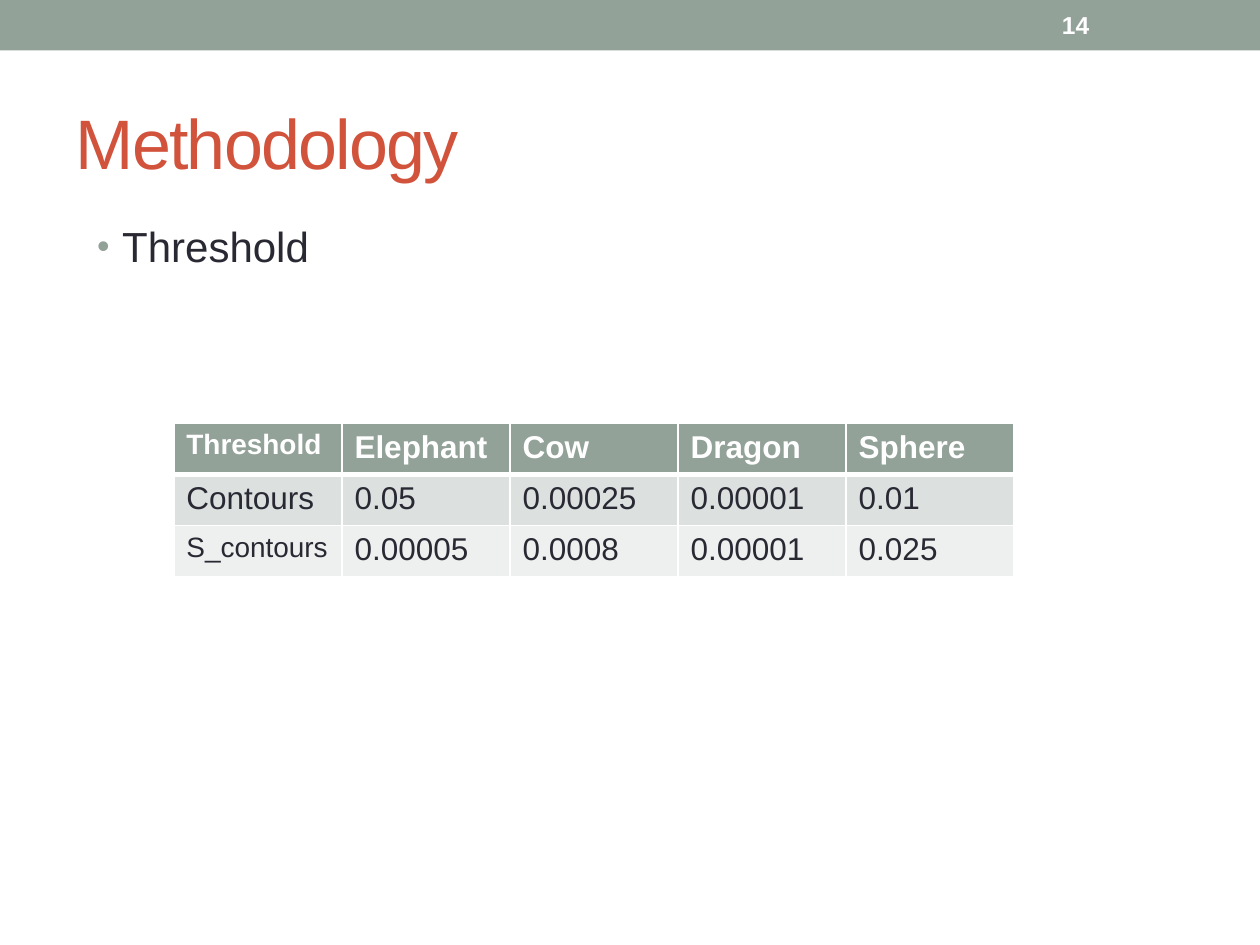
from lxml import etree
from pptx import Presentation
from pptx.dml.color import RGBColor
from pptx.enum.shapes import MSO_SHAPE
from pptx.enum.text import MSO_ANCHOR, MSO_AUTO_SIZE, PP_ALIGN
from pptx.oxml.ns import qn
from pptx.util import Inches, Pt

RECT = MSO_SHAPE.RECTANGLE
TOP, MIDDLE = MSO_ANCHOR.TOP, MSO_ANCHOR.MIDDLE
LEFT = PP_ALIGN.LEFT
NO_FIT = MSO_AUTO_SIZE.NONE

SAGE = RGBColor(0x93, 0xA2, 0x99)
RUST = RGBColor(0xD2, 0x53, 0x3C)
INK = RGBColor(0x29, 0x29, 0x34)
WHITE = RGBColor(0xFF, 0xFF, 0xFF)
BANDS = [SAGE, RGBColor(0xDC, 0xE0, 0xDE), RGBColor(0xEE, 0xF0, 0xEF)]

TITLE = "Methodology"
TOPIC = "Threshold"
NUMBER = "14"
ROWS = [
    ("Threshold", "Elephant", "Cow", "Dragon", "Sphere"),
    ("Contours", "0.05", "0.00025", "0.00001", "0.01"),
    ("S_contours", "0.00005", "0.0008", "0.00001", "0.025"),
]
SMALL = {"Threshold", "S_contours"}

WIDE, HIGH = 10, 7.5
BAR = (0, 0, WIDE, 0.4)
TITLE_BOX = (0.5, 0.58, 9, 1.08)
TOPIC_BOX = (0.67, 1.7, 9, 0.5)
NUMBER_BOX = (8.33, 0.02, 1.17, 0.36)
GRID = (1.38, 3.36, 6.67, 1.22)


def place(shape, box):
    names = ("left", "top", "width", "height")
    for name, size in zip(names, box):
        setattr(shape, name, Inches(size))


def write(frame, text, size, color, bold=False, anchor=TOP):
    frame.text = text
    frame.vertical_anchor = anchor
    para = frame.paragraphs[0]
    para.alignment = LEFT
    font = para.runs[0].font
    look = {"name": "Arial", "size": Pt(size), "bold": bold}
    for name, value in look.items():
        setattr(font, name, value)
    font.color.rgb = color
    return para


def add(parent, tag, **values):
    node = etree.SubElement(parent, qn(tag))
    for name, value in values.items():
        node.set(name, str(value))
    return node


def bullet(para):
    para.space_before = Pt(4.8)
    props = para._p.get_or_add_pPr()
    props.set("marL", str(Inches(0.2)))
    props.set("indent", str(-Inches(0.2)))
    add(add(props, "a:buClr"), "a:srgbClr", val=SAGE)
    add(props, "a:buSzPct", val=85000)
    add(props, "a:buFont", typeface="Arial")
    add(props, "a:buChar", char="•")


def border(cell, widths):
    """Draw white cell edges; widths go left, right, top, bottom in points."""
    props = cell._tc.get_or_add_tcPr()
    for side, width in zip("LRTB", widths):
        line = add(props, f"a:ln{side}", w=Pt(width))
        add(add(line, "a:solidFill"), "a:srgbClr", val=WHITE)


def fill_table(slide):
    frame = slide.shapes.add_table(len(ROWS), len(ROWS[0]), *map(Inches, GRID))
    for r, row in enumerate(ROWS):
        head = r == 0
        edges = (1, 1, 3 if r == 1 else 1, 3 if head else 1)
        for c, text in enumerate(row):
            cell = frame.table.cell(r, c)
            size = 16 if text in SMALL else 18
            write(cell.text_frame, text, size, WHITE if head else INK, head)
            border(cell, edges)
            cell.fill.solid()
            cell.fill.fore_color.rgb = BANDS[r]


def main():
    deck = Presentation()
    deck.slide_width, deck.slide_height = Inches(WIDE), Inches(HIGH)
    slide = deck.slides.add_slide(deck.slide_layouts[1])
    title, body = slide.placeholders

    bar = slide.shapes.add_shape(RECT, *map(Inches, BAR))
    bar.shadow.inherit = False
    bar.fill.solid()
    bar.fill.fore_color.rgb = SAGE
    bar.line.fill.background()

    place(title, TITLE_BOX)
    para = write(title.text_frame, TITLE, 40, RUST, anchor=MIDDLE)
    para.runs[0].font._element.set("spc", "-100")

    place(body, TOPIC_BOX)
    bullet(write(body.text_frame, TOPIC, 24, INK))
    for shape in (title, body):
        shape.text_frame.auto_size = NO_FIT

    number = slide.shapes.add_textbox(*map(Inches, NUMBER_BOX))
    number.text_frame.word_wrap = True
    write(number.text_frame, NUMBER, 14, WHITE, True, MIDDLE)

    fill_table(slide)
    deck.save("out.pptx")


if __name__ == "__main__":
    main()
